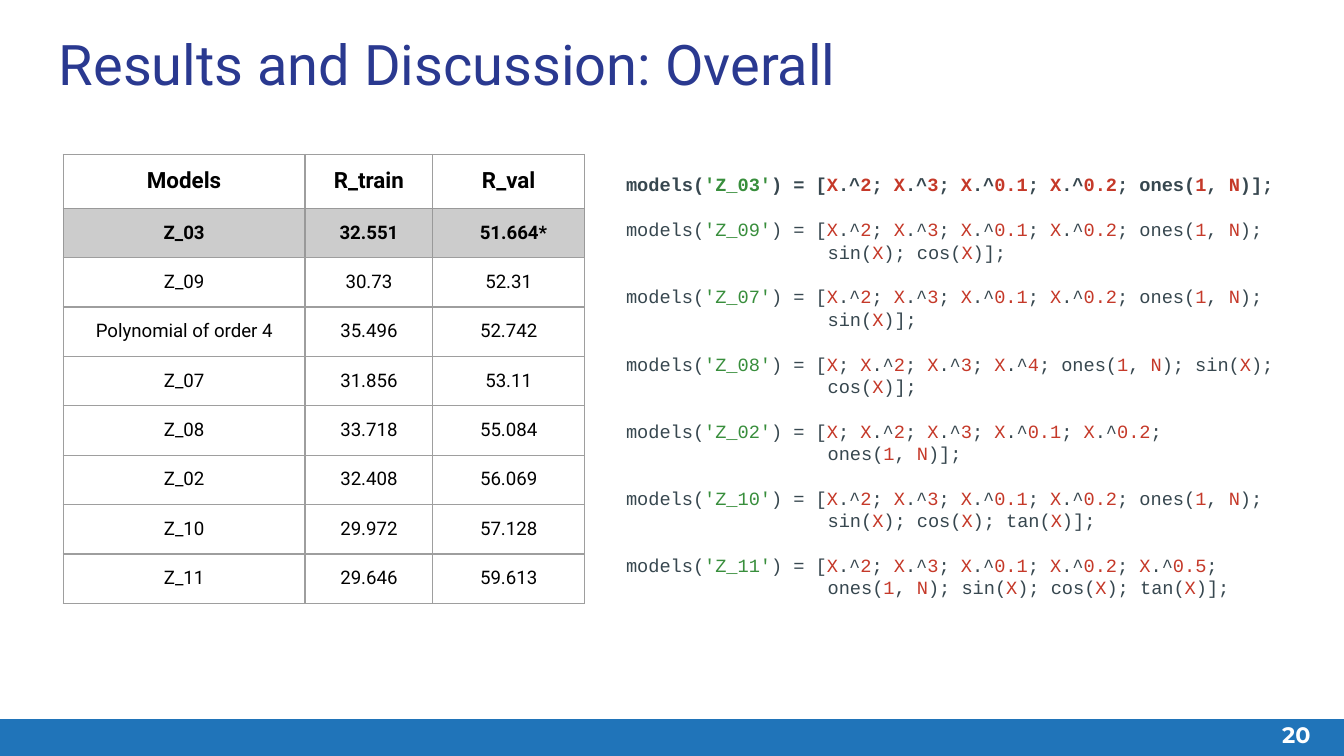
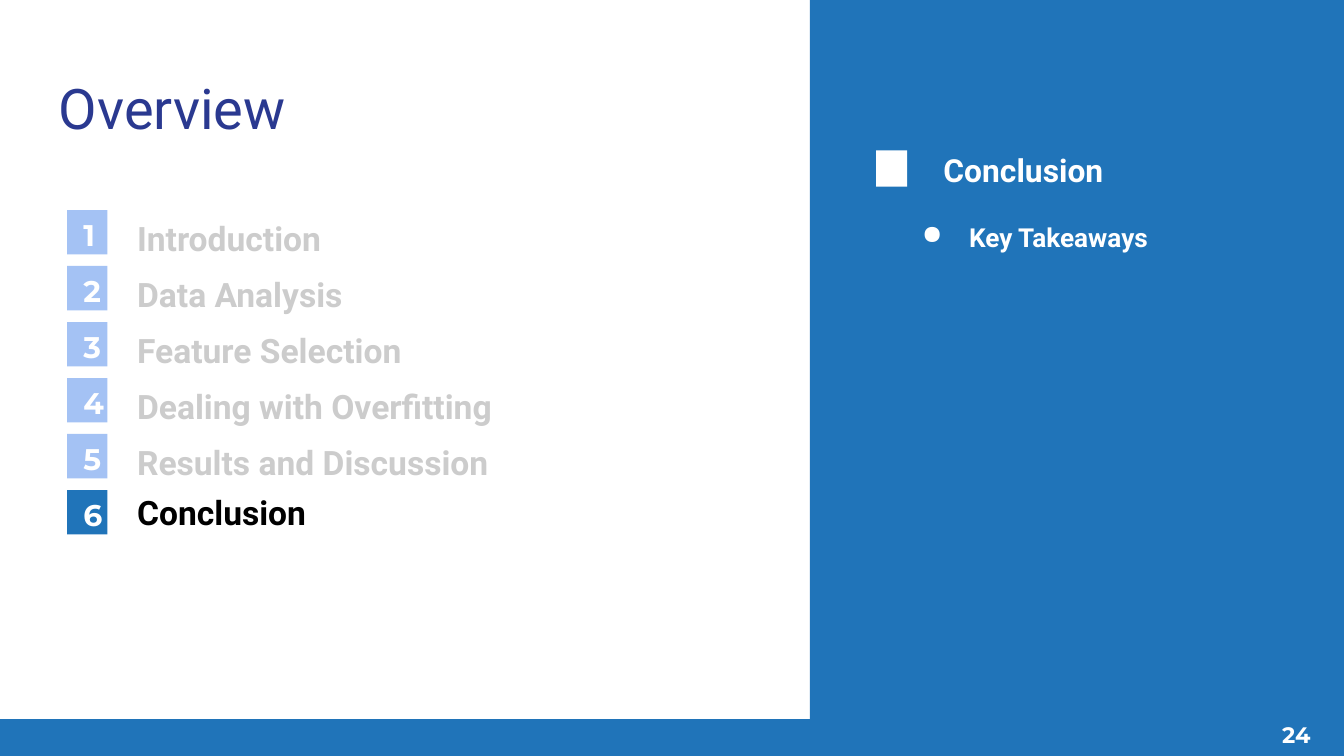
"""Build two slides: a results table with model definitions, and an overview page."""
from dataclasses import dataclass
from itertools import groupby

from lxml.etree import SubElement
from pptx import Presentation
from pptx.dml.color import RGBColor
from pptx.enum.shapes import MSO_SHAPE
from pptx.enum.text import MSO_ANCHOR, PP_ALIGN
from pptx.oxml.ns import qn
from pptx.util import Inches, Pt


@dataclass(frozen=True)
class Theme:
    blue: str = "2074B9"
    navy: str = "2A3990"
    pale_blue: str = "A4C2F4"
    white: str = "FFFFFF"
    black: str = "000000"
    silver: str = "CCCCCC"
    border: str = "9E9E9E"
    shaded_border: str = "999999"
    code: str = "37474F"
    code_name: str = "388E3C"
    code_value: str = "C53929"
    title_size: int = 30
    topic_size: int = 18
    section_size: int = 17
    index_size: int = 16
    point_size: int = 14
    header_size: int = 12
    body_size: int = 10


theme = Theme()
deck = Presentation()
deck.slide_width = Inches(10)
deck.slide_height = deck.slide_width * 9 // 16
unit = deck.slide_width // 100
columns, rows = 100, 56.25
inset = 1


def add_box(page, area, fill=None, margin=0):
    """Place a filled rectangle, or a wrapping text box when there is no fill."""
    place = [round(length * unit) for length in area]
    if fill:
        box = page.shapes.add_shape(MSO_SHAPE.RECTANGLE, *place)
        box.shadow.inherit = False
        box.fill.solid()
        box.fill.fore_color.rgb = RGBColor.from_string(fill)
        box.line.fill.background()
        return box
    box = page.shapes.add_textbox(*place)
    box.text_frame.word_wrap = True
    for side in ("left", "top", "right", "bottom"):
        setattr(box.text_frame, f"margin_{side}", round(margin * unit))
    return box


def write(para, text, size, color, name="Roboto", bold=True):
    """Append a formatted span to a paragraph."""
    span = para.add_run()
    span.text = text
    look = {"name": name, "size": Pt(size), "bold": bold}
    for key, value in look.items():
        setattr(span.font, key, value)
    span.font.color.rgb = RGBColor.from_string(color)


pages = []
for title, title_top, number, panel_left in (
    ("Results and Discussion: Overall", 1.2, "20", None),
    ("Overview", 4.5, "24", 60.25),
):
    page = deck.slides.add_slide(deck.slide_layouts[6])
    add_box(page, (0, 53.5, columns, rows - 53.5), theme.blue)
    if panel_left:
        add_box(page, (panel_left, 0, columns - panel_left, rows), theme.blue)
    box = add_box(page, (3.4, title_top, 93.2, 6.6), margin=inset)
    write(box.text_frame.paragraphs[0], title, theme.title_size, theme.navy, bold=False)
    box = add_box(page, (92.5, 52.5, 6, 4.3), margin=inset)
    box.text_frame.vertical_anchor = MSO_ANCHOR.MIDDLE
    para = box.text_frame.paragraphs[0]
    para.alignment = PP_ALIGN.RIGHT
    write(para, number, theme.header_size, theme.white, "Montserrat")
    pages.append(page)
results, overview = pages

scores = (
    ("Models", "R_train", "R_val"),
    ("Z_03", "32.551", "51.664*"),
    ("Z_09", "30.73", "52.31"),
    ("Polynomial of order 4", "35.496", "52.742"),
    ("Z_07", "31.856", "53.11"),
    ("Z_08", "33.718", "55.084"),
    ("Z_02", "32.408", "56.069"),
    ("Z_10", "29.972", "57.128"),
    ("Z_11", "29.646", "59.613"),
)
column_widths = (18, 9.5, 11.3)
row_heights = [4] + [3.6] * (len(scores) - 1)
area = (4.7, 11.5, sum(column_widths), sum(row_heights))
table = results.shapes.add_table(
    len(scores), len(column_widths), *(round(length * unit) for length in area)
).table
table.first_row = table.horz_banding = False
for column, width in zip(table.columns, column_widths):
    column.width = round(width * unit)
for row, height in zip(table.rows, row_heights):
    row.height = round(height * unit)
for row_index, values in enumerate(scores):
    best = row_index == 1
    size = theme.body_size if row_index else theme.header_size
    for column_index, value in enumerate(values):
        cell = table.cell(row_index, column_index)
        for side in ("left", "top", "right", "bottom"):
            setattr(cell, f"margin_{side}", inset * unit)
        if value.endswith("*"):
            cell.margin_left = round(1.7 * unit)
        properties = cell._tc.get_or_add_tcPr()
        for edge in ("a:lnL", "a:lnR", "a:lnT", "a:lnB"):
            line = SubElement(properties, qn(edge), w=str(Pt(0.75)))
            solid = SubElement(line, qn("a:solidFill"))
            color = theme.shaded_border if best else theme.border
            SubElement(solid, qn("a:srgbClr"), val=color)
        if best:
            cell.fill.solid()
            cell.fill.fore_color.rgb = RGBColor.from_string(theme.silver)
        else:
            cell.fill.background()
        para = cell.text_frame.paragraphs[0]
        para.alignment = PP_ALIGN.CENTER
        write(para, value, size, theme.black, bold=row_index <= 1)

powers = "X.^2; X.^3; X.^0.1; X.^0.2"
models = {
    "Z_03": f"{powers}; ones(1, N)",
    "Z_09": f"{powers}; ones(1, N); sin(X); cos(X)",
    "Z_07": f"{powers}; ones(1, N); sin(X)",
    "Z_08": "X; X.^2; X.^3; X.^4; ones(1, N); sin(X); cos(X)",
    "Z_02": f"X; {powers};\nones(1, N)",
    "Z_10": f"{powers}; ones(1, N); sin(X); cos(X); tan(X)",
    "Z_11": f"{powers}; X.^0.5; ones(1, N); sin(X); cos(X); tan(X)",
}
frame = add_box(results, (45.6, 11.9, 50.5, 32.6), margin=inset).text_frame
for index, (model, terms) in enumerate(models.items()):
    para = frame.add_paragraph() if index else frame.paragraphs[0]
    para.line_spacing = para.space_after = Pt(12)
    properties = para._p.get_or_add_pPr()
    properties.set("marL", str(15 * unit))
    properties.set("indent", str(-15 * unit))
    spans = [("models(", theme.code), (f"'{model}'", theme.code_name), (") = [", theme.code)]
    marked = [
        (mark, theme.code_value if mark in "XN" or mark.isdigit()
         or mark == "." and following.isdigit() else theme.code)
        for mark, following in zip(terms, terms[1:] + "]")
    ]
    for color, marks in groupby(marked, key=lambda pair: pair[1]):
        spans.append(("".join(mark for mark, _ in marks), color))
    spans.append(("];", theme.code))
    for text, color in spans:
        for part_index, part in enumerate(text.split("\n")):
            if part_index:
                para.add_line_break()
            write(para, part, theme.body_size, color, "Courier New", bold=index == 0)

topics = (
    "Introduction", "Data Analysis", "Feature Selection",
    "Dealing with Overfitting", "Results and Discussion", "Conclusion",
)
topic_pitch = 25 / 6
for index, topic in enumerate(topics):
    top = 15.63 + index * topic_pitch
    current = index == len(topics) - 1
    para = add_box(overview, (10.2, top + 0.15, 30.1, 2.3)).text_frame.paragraphs[0]
    if not current:
        para.line_spacing = 1.15
    write(para, topic, theme.topic_size, theme.black if current else theme.silver)
    add_box(overview, (5, top, 3, 3.3), theme.blue if current else theme.pale_blue)
    para = add_box(overview, (6.2, top + 0.5, 1.8, 2.3)).text_frame.paragraphs[0]
    write(para, str(index + 1), theme.index_size, theme.white, "Montserrat")

add_box(overview, (65.2, 11.2, 2.3, 2.7), theme.white)
para = add_box(overview, (70.2, 11.2, 26.4, 2.7)).text_frame.paragraphs[0]
write(para, topics[-1], theme.section_size, theme.white)
para = add_box(overview, (67.1, 16.1, 28.9, 17.8)).text_frame.paragraphs[0]
para.line_spacing = 1.15
properties = para._p.get_or_add_pPr()
properties.set("marL", str(5 * unit))
properties.set("indent", str(round(-3.5 * unit)))
bullet_color = SubElement(properties, qn("a:buClr"))
SubElement(bullet_color, qn("a:srgbClr"), val=theme.white)
SubElement(properties, qn("a:buChar"), char="●")
write(para, "Key Takeaways", theme.point_size, theme.white)

deck.save("out.pptx")
